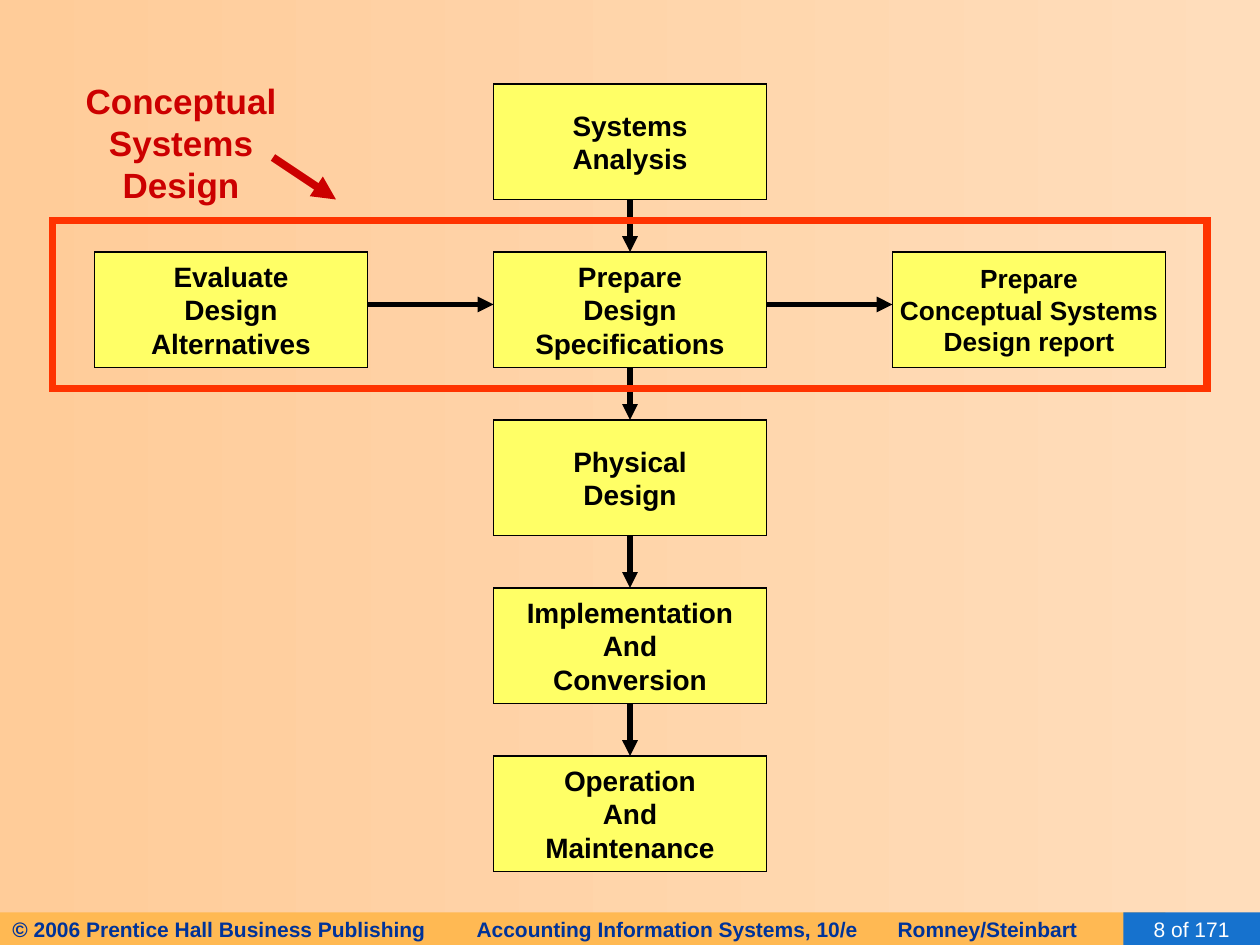
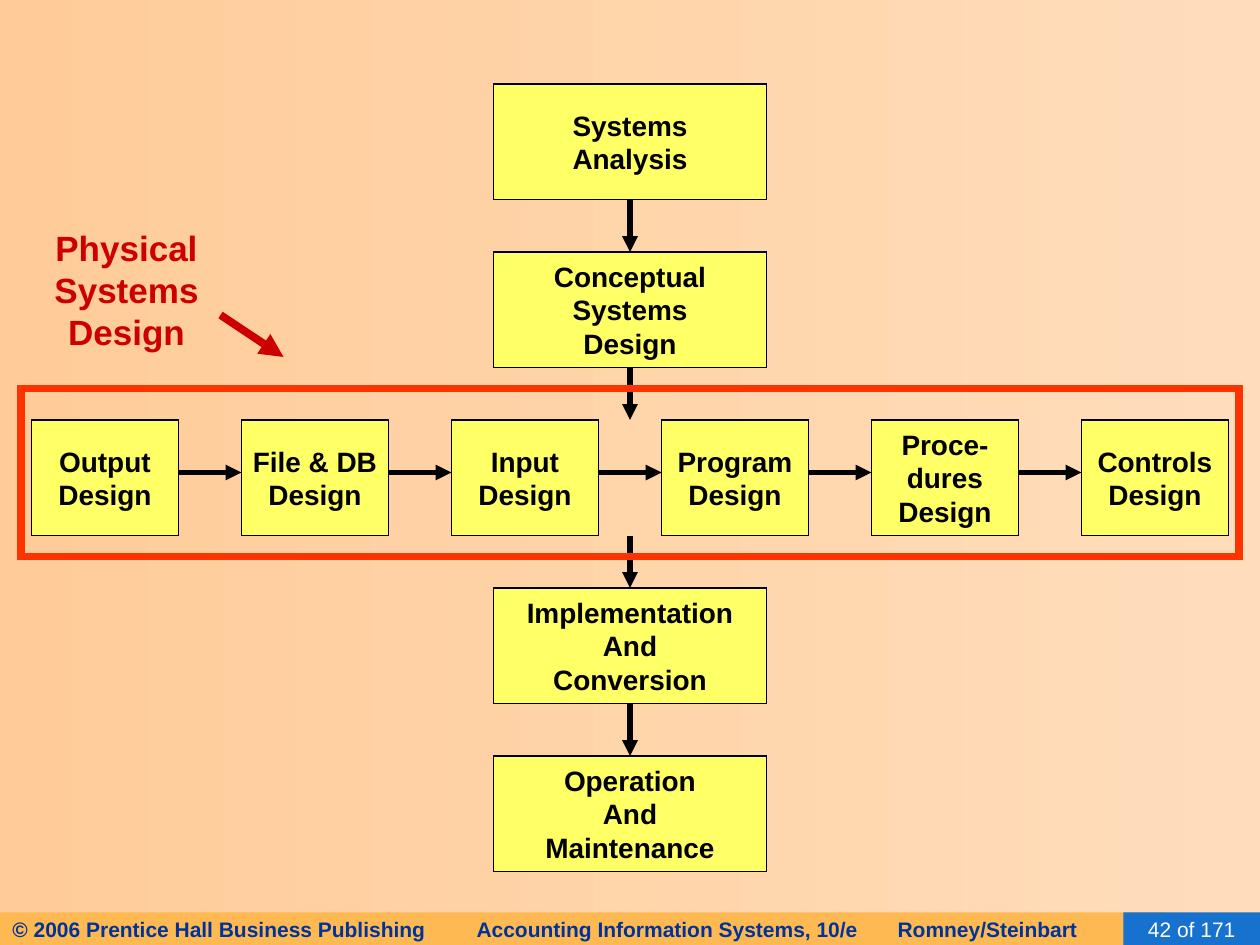
"""Build two flow charts of the systems development life cycle."""
from lxml import etree
from pptx import Presentation
from pptx import util as u
from pptx.dml.color import RGBColor
from pptx.enum import shapes, text
from pptx.oxml.ns import qn

PX = 7620
BLACK = RGBColor(0x00, 0x00, 0x00)
WHITE = RGBColor(0xFF, 0xFF, 0xFF)
YELLOW = RGBColor(0xFF, 0xFF, 0x66)
RED = RGBColor(0xCC, 0x00, 0x00)
ORANGE = RGBColor(0xFF, 0x33, 0x00)
AMBER = RGBColor(0xFF, 0xB9, 0x53)
BLUE = RGBColor(0x16, 0x72, 0xCE)
NAVY = RGBColor(0x00, 0x33, 0x99)
PEACH = RGBColor(0xFF, 0xDD, 0xBB)
APRICOT = RGBColor(0xFF, 0xCC, 0x99)

MID, TOP, STEP, WIDE, HIGH = 600, 80, 160, 260, 110
LEFT = MID - WIDE // 2
CREDIT = ("© 2006 Prentice Hall Business Publishing\t"
          "Accounting Information Systems, 10/e\tRomney/Steinbart")
TABS = (442, 843)

CHARTS = [
    dict(page="8 of 171",
         steps=["Systems\nAnalysis", None, "Physical\nDesign",
                "Implementation\nAnd\nConversion", "Operation\nAnd\nMaintenance"],
         row=1, start=90, pitch=380, wide=WIDE,
         parts=[("Evaluate\nDesign\nAlternatives", 16),
                ("Prepare\nDesign\nSpecifications", 16),
                ("Prepare\nConceptual Systems\nDesign report", 15)],
         frame=(50, 1100), label="Conceptual\nSystems\nDesign",
         spot=(62, 70, 221, 132), mark=(260, 150)),
    dict(page="42 of 171",
         steps=["Systems\nAnalysis", "Conceptual\nSystems\nDesign", None,
                "Implementation\nAnd\nConversion", "Operation\nAnd\nMaintenance"],
         row=2, start=30, pitch=200, wide=140,
         parts=[(name, 16) for name in (
             "Output\nDesign", "File & DB\nDesign", "Input\nDesign",
             "Program\nDesign", "Proce-\ndures\nDesign", "Controls\nDesign")],
         frame=(20, 1160), label="Physical\nSystems\nDesign",
         spot=(32, 210, 177, 132), mark=(210, 300)),
]


def add_box(slide, spot, words="", size=16, ink=BLACK, fill=None, edge=None,
            weight=0.75, bold=True, align=text.PP_ALIGN.CENTER, wrap=False):
    box = slide.shapes.add_shape(shapes.MSO_SHAPE.RECTANGLE, *[n * PX for n in spot])
    box.shadow.inherit = False
    if fill is None:
        box.fill.background()
    else:
        box.fill.solid()
        box.fill.fore_color.rgb = fill
    if edge is None:
        box.line.fill.background()
    else:
        box.line.color.rgb = edge
        box.line.width = u.Pt(weight)
        etree.SubElement(box.line._get_or_add_ln(), qn("a:miter"), lim="800000")
    frame = box.text_frame
    frame.word_wrap = wrap
    frame.vertical_anchor = text.MSO_ANCHOR.MIDDLE
    frame.text = words
    for para in frame.paragraphs:
        para.alignment = align
        if "\t" in words:
            tabs = etree.SubElement(para._p.get_or_add_pPr(), qn("a:tabLst"))
            for stop in TABS:
                etree.SubElement(tabs, qn("a:tab"), pos=str(stop * PX), algn="l")
        font = para.font
        font.name, font.size, font.bold = "Arial", u.Pt(size), bold
        font.color.rgb = ink
    return box


def add_arrow(slide, ends, ink=BLACK, weight=3):
    line = slide.shapes.add_connector(shapes.MSO_CONNECTOR.STRAIGHT, *[n * PX for n in ends])
    line.line.color.rgb = ink
    line.line.width = u.Pt(weight)
    etree.SubElement(line.line._get_or_add_ln(), qn("a:tailEnd"), type="triangle")
    etree.SubElement(line._element.spPr, qn("a:effectLst"))
    return line


deck = Presentation()
deck.slide_width, deck.slide_height = 1200 * PX, 900 * PX
back = deck.slide_master.background.fill
back.gradient()
back.gradient_angle = 180
for stop, tint in zip(back.gradient_stops, (PEACH, APRICOT)):
    stop.color.rgb = tint

for chart in CHARTS:
    slide = deck.slides.add_slide(deck.slide_layouts[6])
    add_box(slide, (0, 869, 1110, 31), CREDIT, 12, NAVY, AMBER,
            align=text.PP_ALIGN.LEFT, wrap=True)
    add_box(slide, (1070, 869, 130, 31), chart["page"], 12, WHITE, BLUE,
            bold=False, wrap=True)

    chain = [words and add_box(slide, (LEFT, TOP + i * STEP, WIDE, HIGH), words,
                               fill=YELLOW, edge=BLACK)
             for i, words in enumerate(chart["steps"])]

    row, wide = chart["row"], chart["wide"]
    y = TOP + row * STEP
    for i, (words, size) in enumerate(chart["parts"]):
        x = chart["start"] + i * chart["pitch"]
        part = add_box(slide, (x, y, wide, HIGH), words, size, fill=YELLOW, edge=BLACK)
        if x == LEFT:
            chain[row] = part
        if i:
            add_arrow(slide, (x - chart["pitch"] + wide, y + 50, x, y + 50))

    for i, (above, below) in enumerate(zip(chain, chain[1:])):
        low = TOP + i * STEP + HIGH
        link = add_arrow(slide, (MID, low, MID, low + STEP - HIGH))
        if above:
            link.begin_connect(above, 2)
        if below:
            link.end_connect(below, 0)

    x, span = chart["frame"]
    add_box(slide, (x, y - 30, span, STEP), edge=ORANGE, weight=4.5)

    label = slide.shapes.add_textbox(*[n * PX for n in chart["spot"]]).text_frame
    label.word_wrap = False
    label.auto_size = text.MSO_AUTO_SIZE.SHAPE_TO_FIT_TEXT
    label.text = chart["label"]
    for para in label.paragraphs:
        para.alignment = text.PP_ALIGN.CENTER
        font = para.font
        font.name, font.size, font.bold = "Arial", u.Pt(20), True
        font.color.rgb = RED
    x, y = chart["mark"]
    add_arrow(slide, (x, y, x + 60, y + 40), RED, 4.5)

deck.save("out.pptx")
